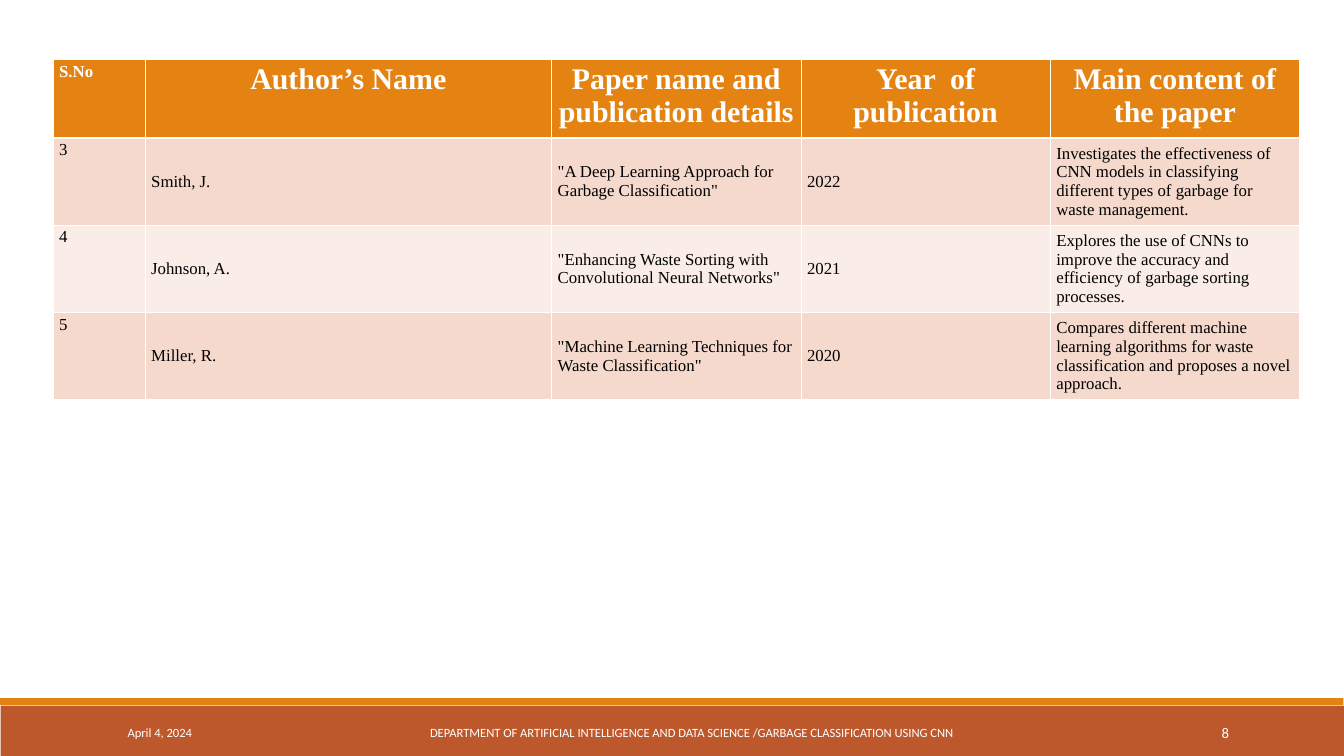
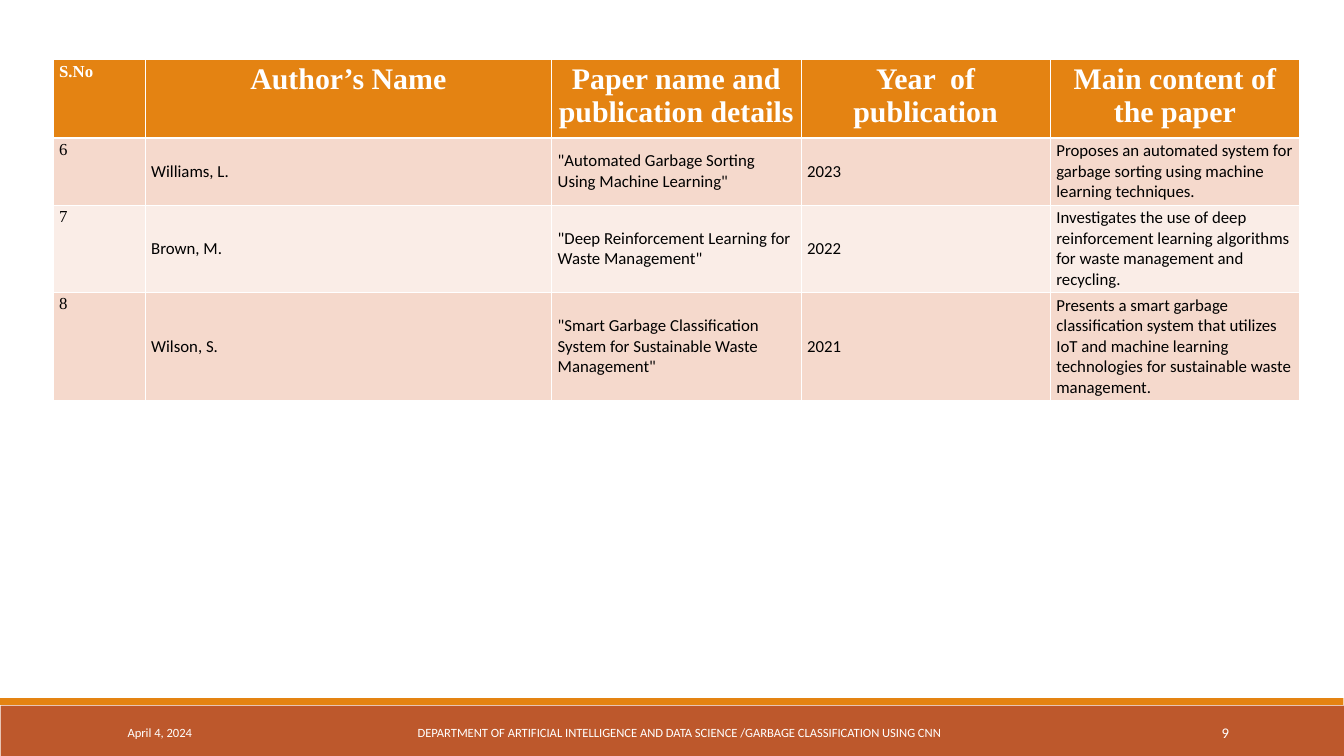
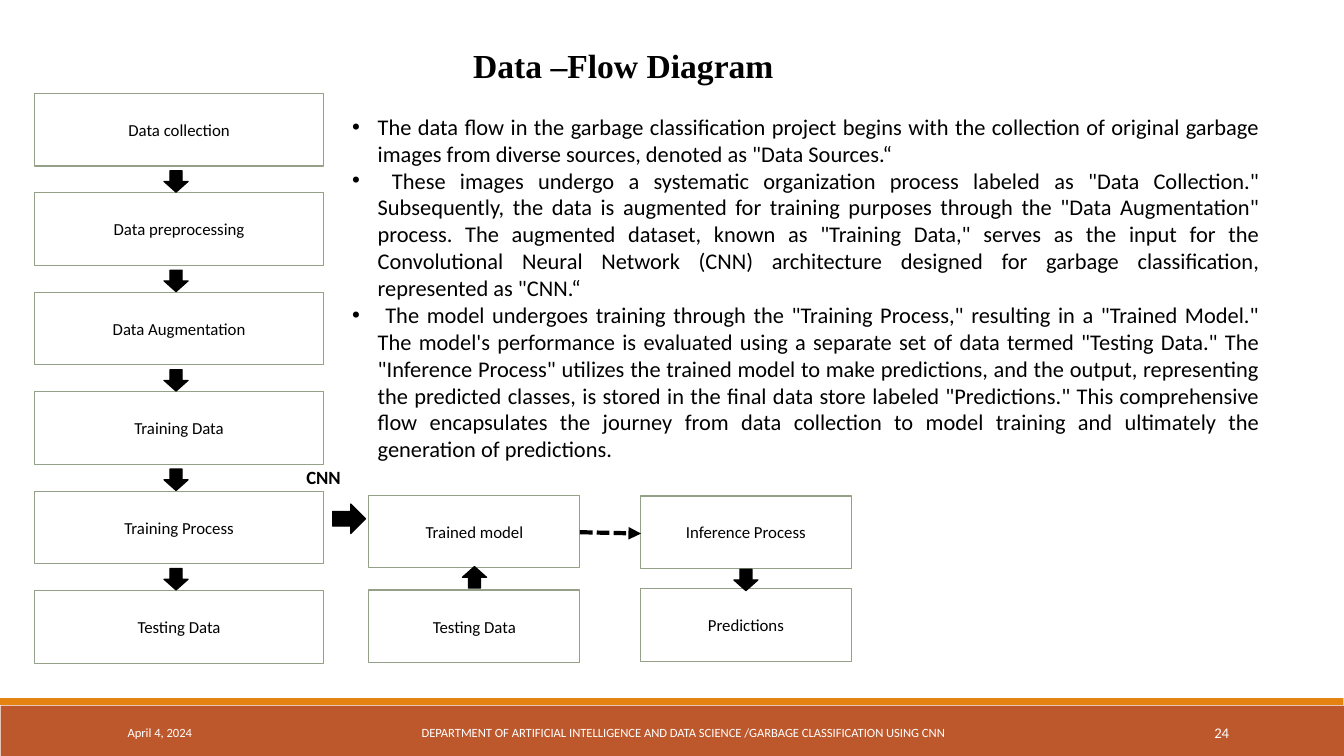
from pptx import Presentation
from pptx.dml.color import RGBColor
from pptx.enum.dml import MSO_LINE
from pptx.enum.shapes import MSO_CONNECTOR, MSO_SHAPE
from pptx.enum.text import MSO_ANCHOR as ANCHOR, MSO_AUTO_SIZE, PP_ALIGN as ALIGN
from pptx.oxml.ns import qn
from pptx.util import Inches, Pt
from lxml.etree import SubElement

WHITE = RGBColor(0xFF, 0xFF, 0xFF)
BLACK = RGBColor(0x00, 0x00, 0x00)
ORANGE = RGBColor(0xE4, 0x83, 0x12)
RUST = RGBColor(0xBD, 0x58, 0x2C)
SAGE = RGBColor(0x94, 0xA0, 0x88)
ROW_DARK = RGBColor(0xF5, 0xD9, 0xCC)
ROW_LIGHT = RGBColor(0xFA, 0xED, 0xE7)
SANS, SERIF = "Calibri", "Times New Roman"

DATE = "April 4, 2024"
FOOTER = ("DEPARTMENT OF ARTIFICIAL INTELLIGENCE AND DATA SCIENCE "
          "/GARBAGE CLASSIFICATION USING CNN")
BLANK, TITLE_AND_BODY = 6, 1

HEADINGS = ["S.No", "Author’s Name", "Paper name and publication details",
            "Year  of publication", "Main content of the paper"]
COLUMN_WIDTHS = [1.37, 6.05, 3.71, 3.71, 3.71]
HEADING_HEIGHT = 1.16

PAPERS_3_TO_5 = [
    ["3", "Smith, J.", '"A Deep Learning Approach for Garbage Classification"', "2022",
     "Investigates the effectiveness of CNN models in classifying different types of "
     "garbage for waste management."],
    ["4", "Johnson, A.", '"Enhancing Waste Sorting with Convolutional Neural Networks"',
     "2021", "Explores the use of CNNs to improve the accuracy and efficiency of garbage "
     "sorting processes."],
    ["5", "Miller, R.", '"Machine Learning Techniques for Waste Classification"', "2020",
     "Compares different machine learning algorithms for waste classification and "
     "proposes a novel approach."],
]
PAPERS_6_TO_8 = [
    ["6", "Williams, L.", '"Automated Garbage Sorting Using Machine Learning"', "2023",
     "Proposes an automated system for garbage sorting using machine learning techniques."],
    ["7", "Brown, M.", '"Deep Reinforcement Learning for Waste Management"', "2022",
     "Investigates the use of deep reinforcement learning algorithms for waste management "
     "and recycling."],
    ["8", "Wilson, S.",
     '"Smart Garbage Classification System for Sustainable Waste Management"', "2021",
     "Presents a smart garbage classification system that utilizes IoT and machine "
     "learning technologies for sustainable waste management."],
]
FLOW_NOTES = [
    "The data flow in the garbage classification project begins with the collection of "
    'original garbage images from diverse sources, denoted as "Data Sources.“',
    ' These images undergo a systematic organization process labeled as "Data Collection." '
    "Subsequently, the data is augmented for training purposes through the "
    '"Data Augmentation" process. The augmented dataset, known as "Training Data," serves '
    "as the input for the Convolutional Neural Network (CNN) architecture designed for "
    'garbage classification, represented as "CNN.“',
    ' The model undergoes training through the "Training Process," resulting in a '
    '"Trained Model." The model\'s performance is evaluated using a separate set of data '
    'termed "Testing Data." The "Inference Process" utilizes the trained model to make '
    "predictions, and the output, representing the predicted classes, is stored in the "
    'final data store labeled "Predictions." This comprehensive flow encapsulates the '
    "journey from data collection to model training and ultimately the generation of "
    "predictions.",
]
PIPELINE = ["Data collection", "Data preprocessing", "Data Augmentation",
            "Training Data", "Training Process", "Testing Data"]


def inches(*lengths):
    return [Inches(n) for n in lengths]


class Deck:
    def __init__(self):
        self.prs = Presentation()
        self.prs.slide_width, self.prs.slide_height = inches(20, 11.25)
        self.slide = None

    def new_slide(self, layout, number, footer_width):
        """Start a slide with the two bands and the footer texts."""
        self.slide = self.prs.slides.add_slide(self.prs.slide_layouts[layout])
        self.shape(MSO_SHAPE.RECTANGLE, (0.01, 10.5, 19.99, 0.75), RUST)
        self.shape(MSO_SHAPE.RECTANGLE, (0, 10.39, 19.99, 0.1), ORANGE)
        for text, left, width, size, align in (
                (DATE, 1.8, 4.06, 13.5, ALIGN.LEFT),
                (FOOTER, 6.05, footer_width, 13.5, ALIGN.CENTER),
                (number, 16.24, 2.15, 15.8, ALIGN.RIGHT)):
            self.label(text, (left, 10.6, width, 0.6), size, WHITE,
                       align=align, anchor=ANCHOR.MIDDLE)

    def add_text(self, p, text, size, color=BLACK, font=SANS, bold=False, align=ALIGN.LEFT):
        p.alignment = align
        r = p.add_run()
        r.text = text
        r.font.size, r.font.name, r.font.bold = Pt(size), font, bold
        r.font.color.rgb = color

    def label(self, text, at, size, color=BLACK, bold=False, align=ALIGN.LEFT,
              anchor=ANCHOR.TOP):
        tf = self.slide.shapes.add_textbox(*inches(*at)).text_frame
        tf.word_wrap, tf.vertical_anchor = True, anchor
        self.add_text(tf.paragraphs[0], text, size, color, bold=bold, align=align)

    def shape(self, kind, at, fill, line=None):
        s = self.slide.shapes.add_shape(kind, *inches(*at))
        s.shadow.inherit = False
        s.fill.solid()
        s.fill.fore_color.rgb = fill
        if line is None:
            s.line.fill.background()
        else:
            s.line.color.rgb, s.line.width = line, Pt(1.25)
        return s

    def box(self, text, left, top, width):
        tf = self.shape(MSO_SHAPE.RECTANGLE, (left, top, width, 1.08), WHITE, SAGE).text_frame
        tf.word_wrap, tf.vertical_anchor = True, ANCHOR.MIDDLE
        self.add_text(tf.paragraphs[0], text, 18, align=ALIGN.CENTER)

    def down_arrow(self, left, top, rotation=0):
        s = self.shape(MSO_SHAPE.DOWN_ARROW, (left, top, 0.36, 0.32), BLACK, BLACK)
        s.rotation = rotation

    def dashed_arrow(self, *ends):
        c = self.slide.shapes.add_connector(MSO_CONNECTOR.STRAIGHT, *inches(*ends))
        c.line.color.rgb, c.line.width = BLACK, Pt(4.5)
        c.line.dash_style = MSO_LINE.SQUARE_DOT
        SubElement(c.line._get_or_add_ln(), qn("a:tailEnd"), type="triangle")
        SubElement(c.element.spPr, qn("a:effectLst"))

    def place(self, ph, at):
        """Move a placeholder and return its text frame."""
        ph.left, ph.top, ph.width, ph.height = inches(*at)
        tf = ph.text_frame
        tf.word_wrap, tf.auto_size, tf.vertical_anchor = True, MSO_AUTO_SIZE.NONE, ANCHOR.TOP
        return tf

    def title(self, text, at, indent):
        tf = self.place(self.slide.shapes.title, at)
        tf.margin_left = Inches(indent)
        self.add_text(tf.paragraphs[0], text, 36, font=SERIF, bold=True)

    def bullets(self, items, at):
        tf = self.place(self.slide.placeholders[1], at)
        for i, item in enumerate(items):
            p = tf.add_paragraph() if i else tf.paragraphs[0]
            p.space_before = Pt(0)
            self.add_text(p, item, 24, align=ALIGN.JUSTIFY)
            pPr = p._p.get_or_add_pPr()
            pPr.set("marL", str(Inches(0.38)))
            pPr.set("indent", str(-Inches(0.38)))
            SubElement(pPr, qn("a:buFont"), typeface="Arial")
            SubElement(pPr, qn("a:buChar"), char="•")

    def cell(self, cell, text, fill, bottom_line, anchor, **style):
        tcPr = cell._tc.get_or_add_tcPr()
        for side, width in (("L", 1), ("R", 1), ("T", 1), ("B", bottom_line)):
            ln = SubElement(tcPr, qn("a:ln" + side), w=str(Pt(width)))
            SubElement(SubElement(ln, qn("a:solidFill")), qn("a:srgbClr"), val=str(WHITE))
        cell.fill.solid()
        cell.fill.fore_color.rgb = fill
        cell.margin_left = cell.margin_right = Inches(0.09)
        cell.margin_top = cell.margin_bottom = Inches(0.04)
        cell.vertical_anchor = anchor
        self.add_text(cell.text_frame.paragraphs[0], text, **style)

    def paper_table(self, papers, row_heights, font):
        heights = [HEADING_HEIGHT] + row_heights
        frame = self.slide.shapes.add_table(
            len(heights), len(HEADINGS),
            *inches(0.79, 0.89, sum(COLUMN_WIDTHS), sum(heights)))
        table = frame.table
        table.horz_banding = False
        for column, width in zip(table.columns, COLUMN_WIDTHS):
            column.width = Inches(width)
        for row, height in zip(table.rows, heights):
            row.height = Inches(height)
        for c, heading in enumerate(HEADINGS):
            self.cell(table.cell(0, c), heading, ORANGE, 3, ANCHOR.TOP,
                      size=32 if c else 18, color=WHITE, font=SERIF, bold=True,
                      align=ALIGN.CENTER if c else ALIGN.LEFT)
        for r, paper in enumerate(papers, 1):
            for c, text in enumerate(paper):
                self.cell(table.cell(r, c), text, ROW_DARK if r % 2 else ROW_LIGHT, 1,
                          ANCHOR.MIDDLE if c else ANCHOR.TOP,
                          size=18, font=font if c else SERIF)


def add_data_flow(deck):
    deck.title("Data –Flow Diagram", (0.7, 0.62, 18.61, 0.71), indent=6.34)
    deck.bullets(FLOW_NOTES, (5.14, 1.63, 13.7, 5.35))

    step = 1.48
    for i, name in enumerate(PIPELINE):
        deck.box(name, 0.51, 1.39 + i * step, 4.31)
        if i:
            deck.down_arrow(2.44, 1.06 + i * step)

    deck.label("CNN", (4.46, 6.88, 1.37, 0.44), 20, bold=True)
    deck.shape(MSO_SHAPE.RIGHT_ARROW, (4.95, 7.5, 0.49, 0.44), BLACK, BLACK)
    for name, left, top in (("Trained model", 5.49, 7.37), ("Testing Data", 5.49, 8.78),
                            ("Inference Process", 9.53, 7.38), ("Predictions", 9.53, 8.76)):
        deck.box(name, left, top, 3.14)
    deck.down_arrow(6.88, 8.43, rotation=180)
    deck.down_arrow(10.92, 8.47)
    deck.dashed_arrow(8.63, 7.92, 9.54, 7.94)


def main():
    deck = Deck()
    deck.new_slide(BLANK, "8", 8.49)
    deck.paper_table(PAPERS_3_TO_5, [1.3, 1.3, 1.3], SERIF)
    deck.new_slide(BLANK, "9", 8.12)
    deck.paper_table(PAPERS_6_TO_8, [1.0, 1.3, 1.61], SANS)
    deck.new_slide(TITLE_AND_BODY, "24", 8.24)
    add_data_flow(deck)
    deck.prs.save("out.pptx")


if __name__ == "__main__":
    main()
